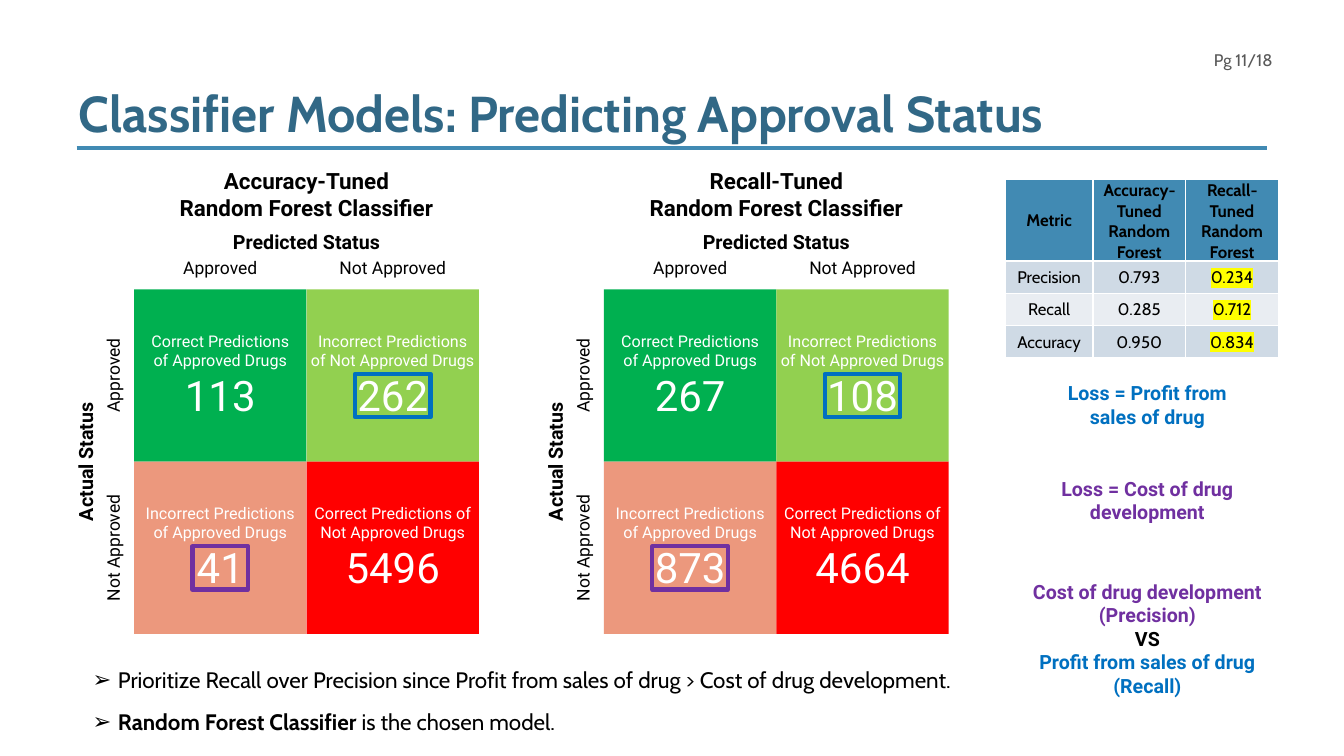
from lxml.etree import SubElement
from pptx import Presentation
from pptx.dml.color import RGBColor
from pptx.enum.shapes import MSO_CONNECTOR, MSO_SHAPE
from pptx.enum.text import MSO_ANCHOR, MSO_AUTO_SIZE, PP_ALIGN
from pptx.oxml.ns import qn
from pptx.util import Inches, Pt

BLUE, PURPLE, STEEL = "0070C0", "7030A0", "418AB3"
CELL = 1.71
STATUSES = ["Approved", "Not Approved"]
CELLS = [
    ("Correct Predictions of Approved Drugs", "00B050", None),
    ("Incorrect Predictions of Not Approved Drugs", "92D050", BLUE),
    ("Incorrect Predictions of Approved Drugs", "EC987D", PURPLE),
    ("Correct Predictions of Not Approved Drugs", "FF0000", None),
]
METRICS = [
    ["Metric", "Accuracy-Tuned Random Forest", "Recall-Tuned Random Forest"],
    ["Precision", "0.793", "0.234"],
    ["Recall", "0.285", "0.712"],
    ["Accuracy", "0.950", "0.834"],
]


def rgb(value):
    """Turn a hex string into a colour."""
    return RGBColor.from_string(value)


def add_run(p, text, size=14, color="000000", bold=False, font="Roboto", mark=None):
    """Append formatted text to a paragraph, with an optional highlight."""
    r = p.add_run()
    r.text = text
    r.font.size, r.font.bold, r.font.name = Pt(size), bold, font
    r.font.color.rgb = rgb(color)
    if mark:
        highlight = SubElement(r.font._element, qn("a:highlight"))
        SubElement(highlight, qn("a:srgbClr"), val=mark)
        r.font._element.find(qn("a:solidFill")).addnext(highlight)


def add_lines(tf, lines, align=PP_ALIGN.CENTER):
    """Fill a text frame with one paragraph per (text, format) pair."""
    tf.word_wrap = True
    for i, (text, style) in enumerate(lines):
        p = tf.add_paragraph() if i else tf.paragraphs[0]
        p.alignment = align
        add_run(p, text, **style)


def add_label(s, box, lines, align=PP_ALIGN.CENTER, rotation=0):
    """Add a text box, turned about its centre when asked."""
    sp = s.shapes.add_textbox(*map(Inches, box))
    sp.rotation = rotation
    add_lines(sp.text_frame, lines, align)
    return sp


def add_rect(s, box, fill=None, line=None):
    """Add a flat rectangle with a fill, an outline or both."""
    sp = s.shapes.add_shape(MSO_SHAPE.RECTANGLE, *map(Inches, box))
    sp.shadow.inherit = False
    if fill:
        sp.fill.solid()
        sp.fill.fore_color.rgb = rgb(fill)
    else:
        sp.fill.background()
    if line:
        sp.line.color.rgb, sp.line.width = rgb(line), Pt(3)
    else:
        sp.line.fill.background()
    return sp


def place(sp, box):
    """Move a placeholder to a box and keep its text size fixed."""
    sp.left, sp.top, sp.width, sp.height = map(Inches, box)
    sp.text_frame.auto_size = MSO_AUTO_SIZE.NONE
    sp.text_frame.word_wrap = True


def add_header(s, x, y, w):
    """Place the page number, the title and the rule below it."""
    page = add_label(s, (x + w - 1.18, y + 0.15, 1.33, 0.3),
                     [("Pg 11/18", dict(size=12, color="595959", font="Cabin"))],
                     PP_ALIGN.RIGHT)
    page.text_frame.vertical_anchor = MSO_ANCHOR.MIDDLE
    title = s.shapes.title
    place(title, (x - 0.08, y, 11.48, 1.17))
    title.text_frame.vertical_anchor = MSO_ANCHOR.BOTTOM
    p = title.text_frame.paragraphs[0]
    p.alignment, p.line_spacing = PP_ALIGN.LEFT, 0.8
    add_run(p, "Classifier Models: Predicting Approval Status", size=36,
            color="316886", bold=True, font="Cabin")
    rule = s.shapes.add_connector(
        MSO_CONNECTOR.STRAIGHT, *map(Inches, (x, y + 1.18, x + w, y + 1.18)))
    rule.line.color.rgb, rule.line.width = rgb(STEEL), Pt(3)
    SubElement(rule._element.spPr, qn("a:effectLst"))


def add_matrix(s, x, y, tuning, counts):
    """Draw one confusion matrix with its headings and outlined errors."""
    side, top = 2 * CELL, y + 1.26
    heading, axis = dict(size=16, bold=True), dict(size=14, bold=True)
    add_label(s, (x, y, side, 0.64),
              [(tuning, heading), ("Random Forest Classifier", heading)])
    add_label(s, (x, y + 0.62, side, 0.34), [("Predicted Status", axis)])
    add_label(s, (x - 0.48 - CELL, top + CELL - 0.17, side, 0.34),
              [("Actual Status", axis)], rotation=270)
    for i, status in enumerate(STATUSES):
        label = [(status, dict(size=12.5))]
        add_label(s, (x + i * CELL, y + 0.89, CELL, 0.31), label)
        add_label(s, (x - 0.21 - CELL / 2, top + (i + 0.5) * CELL - 0.155, CELL, 0.31),
                  label, rotation=270)
    for i, ((caption, fill, outline), count) in enumerate(zip(CELLS, counts)):
        row, col = divmod(i, 2)
        left, cell_top = x + col * CELL, top + row * CELL
        sp = add_rect(s, (left, cell_top, CELL, CELL), fill)
        tf = sp.text_frame
        tf.vertical_anchor = MSO_ANCHOR.MIDDLE
        if col:
            tf.margin_left = tf.margin_right = Inches(0.04)
        add_lines(tf, [(caption, dict(size=11.5, color="FFFFFF")),
                       (count, dict(size=30, color="FFFFFF"))])
        if outline:
            w = 0.75 if len(count) > 2 else 0.55
            add_rect(s, (left + (CELL - w) / 2, cell_top + 0.84, w, 0.43), line=outline)


def add_borders(cell, color):
    """Give a table cell a thin line on all four sides."""
    tc_pr = cell._tc.get_or_add_tcPr()
    for i, side in enumerate(("a:lnL", "a:lnR", "a:lnT", "a:lnB")):
        ln = tc_pr.makeelement(qn(side), {"w": str(Pt(1))})
        SubElement(SubElement(ln, qn("a:solidFill")), qn("a:srgbClr"), val=color)
        tc_pr.insert(i, ln)


def add_metrics(s, x, y):
    """Build the table that compares both models."""
    table = s.shapes.add_table(4, 3, *map(Inches, (x, y, 2.71, 1.77))).table
    for column, w in zip(table.columns, (0.87, 0.92, 0.92)):
        column.width = Inches(w)
    for i, (row, values) in enumerate(zip(table.rows, METRICS)):
        row.height = Inches(0.32 if i else 0.81)
        for j, (cell, value) in enumerate(zip(row.cells, values)):
            cell.fill.solid()
            cell.fill.fore_color.rgb = rgb((STEEL, "CFDAE5", "E9EDF2", "CFDAE5")[i])
            cell.vertical_anchor = MSO_ANCHOR.MIDDLE
            cell.margin_left = cell.margin_right = cell.margin_top = Inches(0.01)
            cell.margin_bottom = 0
            p = cell.text_frame.paragraphs[0]
            p.alignment = PP_ALIGN.CENTER
            add_run(p, value, size=12, bold=i == 0, font="Cabin",
                    mark="FFFF00" if i and j == 2 else None)
            add_borders(cell, "FFFFFF")


def add_losses(s, x, y, w):
    """Stack the loss notes and the trade-off, centred in the column."""
    blue, purple = dict(color=BLUE, bold=True), dict(color=PURPLE, bold=True)
    notes = [
        (0, 2.26, 0.57, [("Loss = Profit from sales of drug", blue)]),
        (0.95, 2.56, 0.57, [("Loss = Cost of drug development", purple)]),
        (1.97, w, 1.28, [("Cost of drug development", purple), ("(Precision)", purple),
                         ("VS", dict(bold=True)),
                         ("Profit from sales of drug", blue), ("(Recall)", blue)]),
    ]
    for dy, width, h, lines in notes:
        add_label(s, (x + (w - width) / 2, y + dy, width, h), lines)


def add_conclusions(s, box):
    """Write the bulleted conclusions in the body placeholder."""
    body = s.placeholders[1]
    place(body, box)
    tf = body.text_frame
    tf.vertical_anchor = MSO_ANCHOR.TOP
    bullets = [
        [("Prioritize Recall over Precision since Profit from sales of drug > "
          "Cost of drug development.", False)],
        [("Random Forest Classifier", True), (" is the chosen model.", False)],
    ]
    for i, runs in enumerate(bullets):
        p = tf.add_paragraph() if i else tf.paragraphs[0]
        p.line_spacing, p.space_before = 1.5, Pt(i)
        p_pr = p._p.get_or_add_pPr()
        p_pr.set("marL", str(Inches(0.31)))
        p_pr.set("indent", str(Inches(-0.25)))
        SubElement(p_pr, qn("a:buChar"), char="➢")
        for text, bold in runs:
            add_run(p, text, size=16, bold=bold, font="Cabin")


def main():
    """Build the slide and save it."""
    prs = Presentation()
    prs.slide_width, prs.slide_height = Inches(13.33), Inches(7.5)
    s = prs.slides.add_slide(prs.slide_layouts[1])
    add_header(s, 0.76, 0.29, 11.81)
    add_matrix(s, 1.33, 1.61, "Accuracy-Tuned", ["113", "262", "41", "5496"])
    add_matrix(s, 5.99, 1.61, "Recall-Tuned", ["267", "108", "873", "4664"])
    add_metrics(s, 9.97, 1.78)
    add_losses(s, 10.04, 3.73, 2.68)
    add_conclusions(s, (0.76, 6.43, 9.41, 0.94))
    prs.save("out.pptx")


if __name__ == "__main__":
    main()
